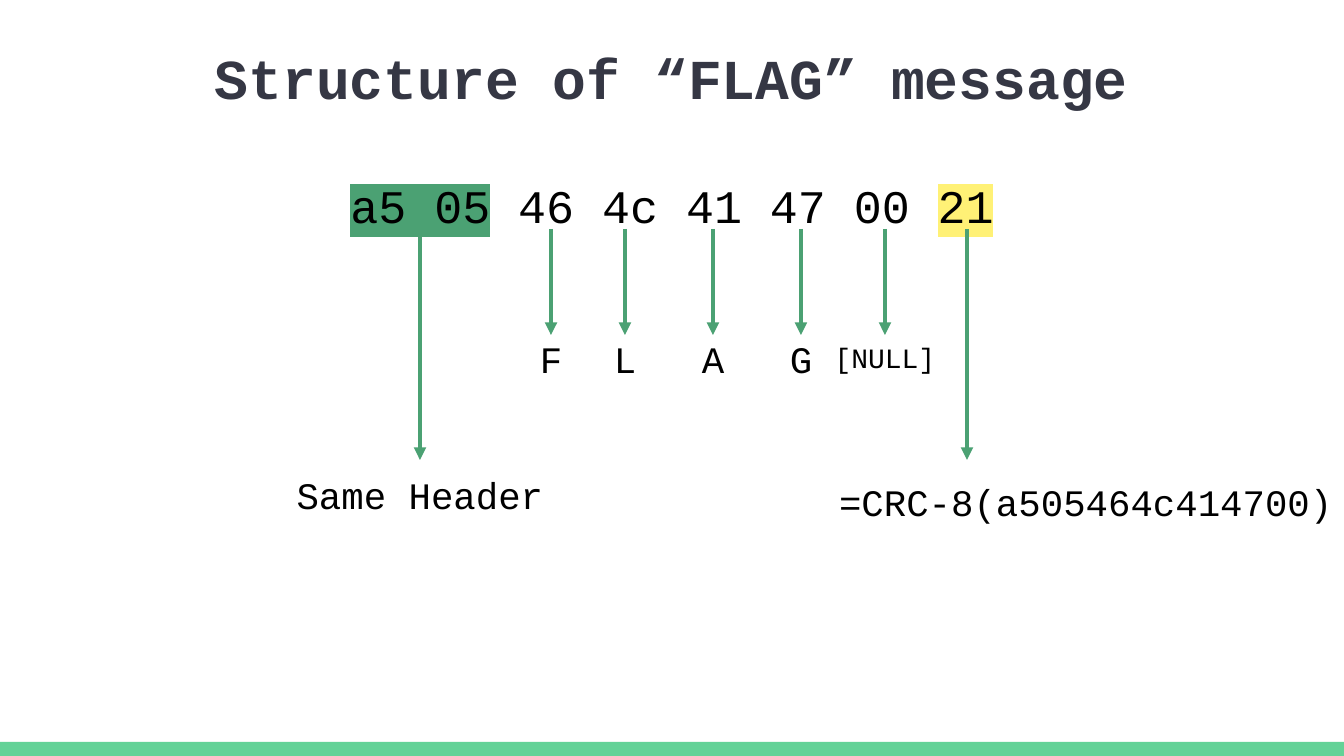
from dataclasses import dataclass

from lxml.etree import SubElement
from pptx import Presentation
from pptx.dml.color import RGBColor
from pptx.enum.shapes import MSO_CONNECTOR, MSO_SHAPE
from pptx.enum.text import PP_ALIGN
from pptx.oxml.ns import qn
from pptx.util import Pt


@dataclass(frozen=True)
class Theme:
    font: str = "Courier New"
    title_color: str = "353744"
    text_color: str = "000000"
    green: str = "4BA173"
    yellow: str = "FFF176"
    footer: str = "63D297"
    title_size: float = 30.2
    bytes_size: float = 25
    label_size: float = 20
    small_size: float = 15
    line_width: float = 2.25


THEME = Theme()
EMU_PER_PX = 914400 / 134.4
SLIDE_WIDTH, SLIDE_HEIGHT = 1344, 756

# Content: text with its highlight colour
TITLE = [("Structure of “FLAG” message", None)]
MESSAGE = [("a5 05", THEME.green), (" 46 4c 41 47 00 ", None), ("21", THEME.yellow)]

# Decoded bytes: label, centre, box width, box top, box height, type size
BYTES = [
    ("F", 551, 74, 316, 73, THEME.label_size),
    ("L", 625, 74, 316, 73, THEME.label_size),
    ("A", 713, 74, 316, 73, THEME.label_size),
    ("G", 801, 74, 316, 73, THEME.label_size),
    ("[NULL]", 885, 146, 323, 60, THEME.small_size),
]
# Explained parts: label, box centre, box width, box top, arrow position
PARTS = [
    ("Same Header", 420, 353, 452, 420),
    ("=CRC-8(a505464c414700)", 1086, 567, 460, 967),
]
ARROW_TOP, BYTE_ARROW_END, PART_ARROW_END = 229, 335, 460


def px(length):
    return round(length * EMU_PER_PX)


def add_text(page, spans, center, top, width, height, size,
             color=THEME.text_color, bold=False):
    box = page.shapes.add_textbox(px(center - width / 2), px(top), px(width), px(height))
    frame = box.text_frame
    frame.word_wrap = True
    frame.margin_left = frame.margin_right = px(13)
    frame.margin_top = frame.margin_bottom = px(13)
    para = frame.paragraphs[0]
    para.alignment = PP_ALIGN.CENTER
    para.line_spacing = 1.15
    para.font.name = THEME.font
    para.font.size = Pt(size)
    para.font.bold = bold
    para.font.color.rgb = RGBColor.from_string(color)
    for text, highlight in spans:
        span = para.add_run()
        span.text = text
        if highlight:
            marker = SubElement(span.font._element, qn("a:highlight"))
            SubElement(marker, qn("a:srgbClr"), val=highlight)


def add_arrow(page, x, end):
    arrow = page.shapes.add_connector(
        MSO_CONNECTOR.STRAIGHT, px(x), px(ARROW_TOP), px(x), px(end))
    arrow.line.color.rgb = RGBColor.from_string(THEME.green)
    arrow.line.width = Pt(THEME.line_width)
    SubElement(arrow.line._get_or_add_ln(), qn("a:tailEnd"), type="triangle")
    SubElement(arrow._element.spPr, qn("a:effectLst"))


def main():
    deck = Presentation()
    deck.slide_width, deck.slide_height = px(SLIDE_WIDTH), px(SLIDE_HEIGHT)
    page = deck.slides.add_slide(deck.slide_layouts[6])

    # Footer band
    band = page.shapes.add_shape(
        MSO_SHAPE.RECTANGLE, 0, px(SLIDE_HEIGHT - 14), px(SLIDE_WIDTH), px(14))
    band.shadow.inherit = False
    band.fill.solid()
    band.fill.fore_color.rgb = RGBColor.from_string(THEME.footer)
    band.line.fill.background()

    # Title and message bytes
    middle = SLIDE_WIDTH / 2
    add_text(page, TITLE, middle, 20, 1252, 85, THEME.title_size,
             THEME.title_color, bold=True)
    add_text(page, MESSAGE, middle, 155, 810, 83, THEME.bytes_size)

    # Decoded characters
    for label, center, width, top, height, size in BYTES:
        add_text(page, [(label, None)], center, top, width, height, size)
        add_arrow(page, center, BYTE_ARROW_END)

    # Header and checksum
    for label, center, width, top, arrow_x in PARTS:
        add_text(page, [(label, None)], center, top, width, 73, THEME.label_size)
        add_arrow(page, arrow_x, PART_ARROW_END)

    deck.save("out.pptx")


if __name__ == "__main__":
    main()
